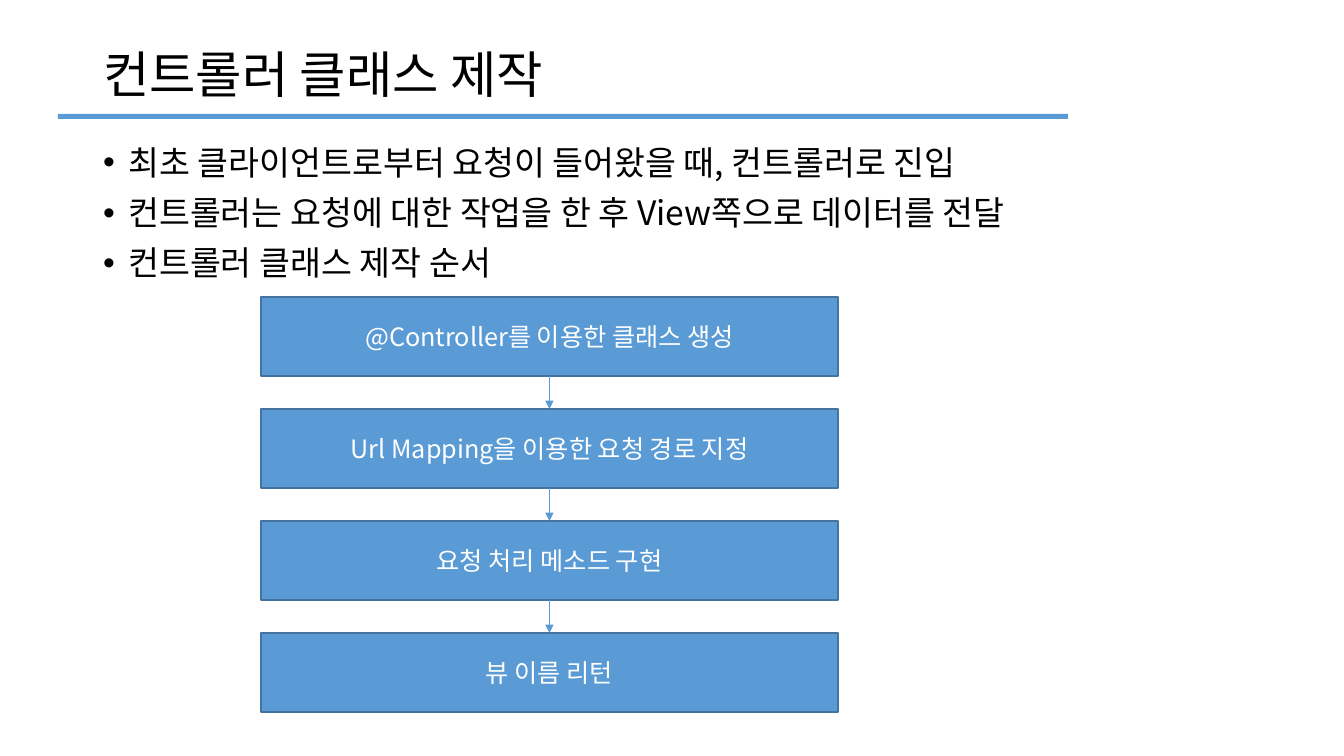
"""Build the slide on making a controller class."""
import dataclasses
import itertools

import pptx
import pptx.dml.color
import pptx.enum.shapes
import pptx.enum.text
import pptx.oxml.ns
import pptx.util
from lxml import etree


@dataclasses.dataclass(frozen=True)
class Theme:
    """Colours, fonts and type sizes of the slide."""
    text: str = "000000"
    light: str = "FFFFFF"
    accent: str = "5B9BD5"
    border: str = "43739E"
    latin_title: str = "Arial"
    font: str = "Noto Sans CJK KR"
    title_size: int = 36
    body_size: int = 24
    step_size: int = 18


def px(n):
    """Turn whole pixels into EMU."""
    return pptx.util.Emu(round(n * 914400 / 100.8))


def rgb(value):
    """Turn a hex string into a colour."""
    return pptx.dml.color.RGBColor.from_string(value)


def add_xml(parent, tag, **attrs):
    """Append a DrawingML element with its attributes."""
    return etree.SubElement(parent, pptx.oxml.ns.qn(tag), attrs)


def write(p, text, *, size, color, latin, east, align="LEFT",
          spacing=1.0, before=0, bullet=None):
    """Write formatted text into a paragraph."""
    if bullet:
        pPr = p._p.get_or_add_pPr()
        pPr.set("marL", str(pptx.util.Inches(0.25)))
        pPr.set("indent", str(-pptx.util.Inches(0.25)))
        add_xml(pPr, "a:buFont", typeface="Arial")
        add_xml(pPr, "a:buChar", char=bullet)
    p.alignment = getattr(pptx.enum.text.PP_ALIGN, align)
    p.line_spacing = spacing
    p.space_before = pptx.util.Pt(before)
    r = p.add_run()
    r.text = text
    r.font.size = pptx.util.Pt(size)
    r.font.color.rgb = rgb(color)
    r.font.name = latin
    add_xml(r._r.get_or_add_rPr(), "a:ea", typeface=east)


class Deck:
    """Hold the theme and the current slide."""

    def __init__(self, theme):
        """Start a presentation with one title and content slide."""
        self.theme = theme
        self.prs = pptx.Presentation()
        self.prs.slide_width = px(1344)
        self.prs.slide_height = px(756)
        self.s = self.prs.slides.add_slide(self.prs.slide_layouts[1])

    def place(self, sp, x, y, w, h, anchor):
        """Move a placeholder and return its text frame."""
        sp.left, sp.top, sp.width, sp.height = map(px, (x, y, w, h))
        tf = sp.text_frame
        tf.word_wrap = True
        tf.auto_size = pptx.enum.text.MSO_AUTO_SIZE.NONE
        tf.vertical_anchor = anchor
        return tf

    def title(self, text, *box):
        """Fill the title placeholder."""
        t = self.theme
        tf = self.place(self.s.shapes.title, *box,
                        pptx.enum.text.MSO_ANCHOR.MIDDLE)
        write(tf.paragraphs[0], text, size=t.title_size, color=t.text,
              latin=t.latin_title, east=t.font, spacing=0.9)

    def bullets(self, items, *box):
        """Fill the body placeholder with a bulleted list."""
        t = self.theme
        tf = self.place(self.s.placeholders[1], *box,
                        pptx.enum.text.MSO_ANCHOR.TOP)
        for i, text in enumerate(items):
            p = tf.add_paragraph() if i else tf.paragraphs[0]
            write(p, text, size=t.body_size, color=t.text, latin=t.font,
                  east=t.font, spacing=0.9, before=10 if i else 0, bullet="•")

    def rect(self, x, y, w, h, border=None):
        """Add a rectangle in the accent colour."""
        sp = self.s.shapes.add_shape(
            pptx.enum.shapes.MSO_SHAPE.RECTANGLE, *map(px, (x, y, w, h)))
        sp.shadow.inherit = False
        sp.fill.solid()
        sp.fill.fore_color.rgb = rgb(self.theme.accent)
        if border:
            sp.line.color.rgb = rgb(border)
            sp.line.width = pptx.util.Pt(1)
        else:
            sp.line.fill.background()
        return sp

    def step(self, text, *box):
        """Add a labelled step of the flow."""
        t = self.theme
        sp = self.rect(*box, border=t.border)
        tf = sp.text_frame
        tf.word_wrap = True
        tf.vertical_anchor = pptx.enum.text.MSO_ANCHOR.MIDDLE
        write(tf.paragraphs[0], text, size=t.step_size, color=t.light,
              latin=t.font, east=t.font, align="CENTER")
        return sp

    def arrow(self, upper, lower):
        """Join the bottom of one step to the top of the next."""
        c = self.s.shapes.add_connector(
            pptx.enum.shapes.MSO_CONNECTOR.STRAIGHT, 0, 0, 0, 0)
        c.begin_connect(upper, 2)
        c.end_connect(lower, 0)
        c.line.color.rgb = rgb(self.theme.accent)
        c.line.width = pptx.util.Pt(0.5)
        add_xml(c.line._get_or_add_ln(), "a:tailEnd", type="triangle")
        add_xml(c._element.spPr, "a:effectLst")


def main():
    """Build and save the slide."""
    deck = Deck(Theme())
    deck.rect(58, 114, 1010, 5)
    deck.title("컨트롤러 클래스 제작", 93, 40, 1159, 74)
    deck.bullets([
        "최초 클라이언트로부터 요청이 들어왔을 때, 컨트롤러로 진입",
        "컨트롤러는 요청에 대한 작업을 한 후 View쪽으로 데이터를 전달",
        "컨트롤러 클래스 제작 순서",
    ], 93, 141, 1159, 572)
    labels = [
        "@Controller를 이용한 클래스 생성",
        "Url Mapping을 이용한 요청 경로 지정",
        "요청 처리 메소드 구현",
        "뷰 이름 리턴",
    ]
    steps = [deck.step(label, 261, 297 + 112 * i, 577, 79)
             for i, label in enumerate(labels)]
    for upper, lower in itertools.pairwise(steps):
        deck.arrow(upper, lower)
    deck.prs.save("out.pptx")


if __name__ == "__main__":
    main()
